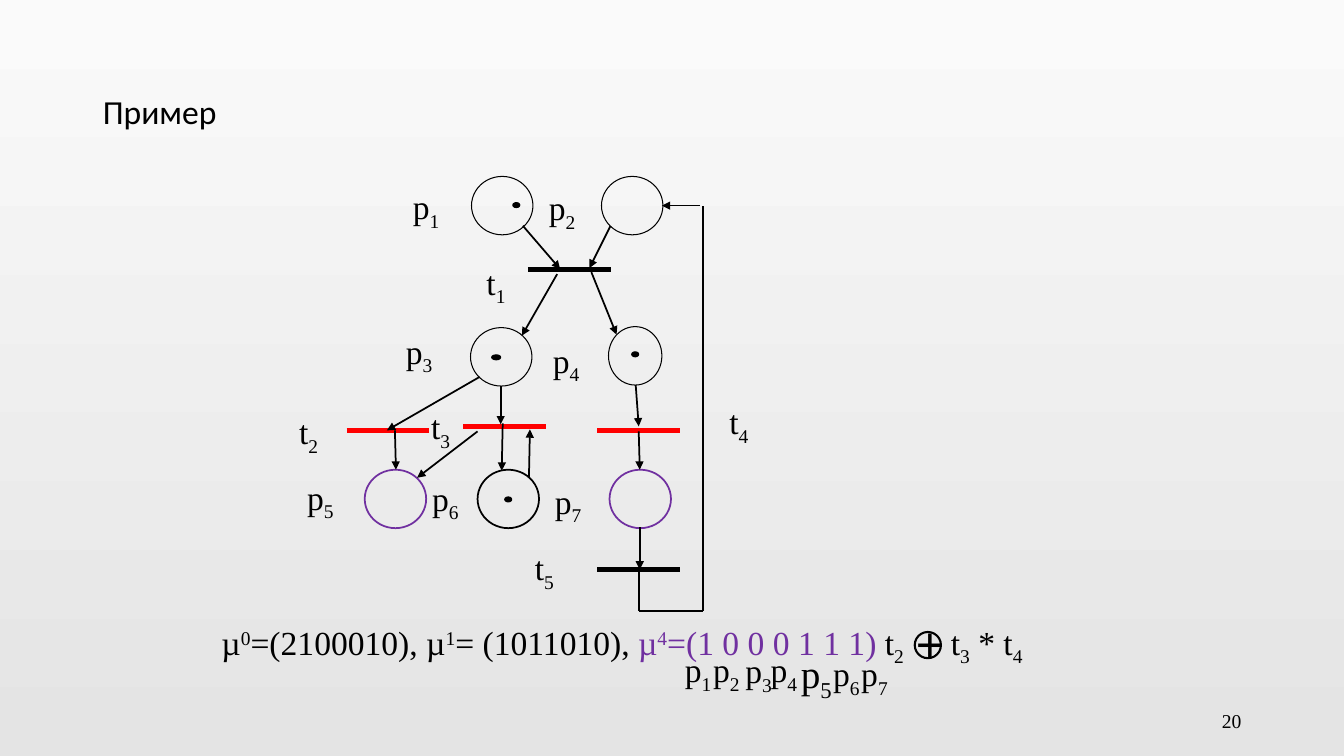
"""Builds the Petri net example slide."""
from lxml.etree import SubElement
from pptx import Presentation
from pptx.dml.color import RGBColor
from pptx.enum.shapes import MSO_CONNECTOR as LINK, MSO_SHAPE as SHAPE
from pptx.enum.text import MSO_ANCHOR as ANCHOR, PP_ALIGN as ALIGN
from pptx.oxml.ns import qn
from pptx.util import Inches, Pt

COLORS = {"ink": "000000", "fired": "FF0000", "marked": "7030A0",
          "sky": "FAFAFA", "ground": "E4E4E4"}
SERIF = "Times New Roman"
SUB, SUPER = -25, 30

PLACES = [
    (4.68, 1.75, 0.61, 0.75, "ink"), (5.97, 1.75, 0.61, 0.75, "ink"),
    (4.67, 3.25, 0.61, 0.75, "ink"), (6.04, 3.24, 0.53, 0.75, "ink"),
    (3.62, 4.66, 0.61, 1.25, "marked"), (4.74, 4.66, 0.61, 1.25, "ink"),
    (6.05, 4.66, 0.61, 1.25, "marked"),
]
TOKENS = [(5.09, 2.01, 0.07), (4.88, 3.52, 0.09),
          (6.27, 3.49, 0.07), (5.01, 4.93, 0.07)]
TRANSITIONS = [(5.24, 2.67, "ink"), (3.44, 4.27, "fired"), (4.6, 4.23, "fired"),
               (5.93, 4.27, "fired"), (5.93, 5.65, "ink")]
ARROWS = [
    (5.19, 2.24, 5.56, 2.67), (6.06, 2.24, 5.85, 2.66),
    (5.53, 2.72, 5.18, 3.33), (5.87, 2.7, 6.12, 3.32),
    (4.76, 3.74, 3.84, 4.27), (4.97, 3.83, 4.97, 4.21),
    (6.31, 3.82, 6.34, 4.23), (3.92, 4.27, 3.93, 4.66),
    (4.74, 4.28, 4.14, 4.74), (4.99, 4.2, 4.98, 4.67),
    (5.25, 4.74, 5.26, 4.26), (6.34, 4.28, 6.35, 4.66),
    (6.35, 5.23, 6.35, 5.65), (6.95, 2.04, 6.57, 2.04),
]
RETURN_PATH = [(6.34, 5.65), (6.34, 6.06), (6.98, 6.06), (6.98, 2.04)]
LABELS = [
    ("p1", 4, 1.8, 24), ("p2", 5.35, 1.81, 24), ("p3", 3.93, 3.23, 24),
    ("p4", 5.39, 3.32, 24), ("p5", 2.95, 4.68, 24), ("p6", 4.19, 4.69, 24),
    ("p7", 5.41, 4.72, 24), ("t1", 4.73, 2.55, 24), ("t2", 2.87, 4.03, 24),
    ("t3", 4.18, 3.98, 24), ("t4", 7.14, 3.93, 24), ("t5", 5.21, 5.38, 24),
    ("p1", 6.7, 6.39, 24), ("p2", 6.98, 6.39, 24), ("p3", 7.3, 6.4, 24),
    ("p4", 7.55, 6.39, 24), ("p5", 7.85, 6.39, 28), ("p6", 8.17, 6.43, 24),
    ("p7", 8.45, 6.43, 24),
]
MARKINGS = [
    ("µ", 0, "ink"), ("0", SUPER, "ink"), ("=(2100010), µ", 0, "ink"),
    ("1", SUPER, "ink"), ("= (1011010), ", 0, "ink"), ("µ", 0, "marked"),
    ("4", SUPER, "marked"), ("=(1 0 0 0 1 1 1) ", 0, "marked"), ("t", 0, "ink"),
    ("2", SUB, "ink"), ("\tt", 0, "ink"), ("3", SUB, "ink"),
    (" * t", 0, "ink"), ("4", SUB, "ink"),
]


def rgb(color):
    return RGBColor.from_string(COLORS[color])


def set_font(font, size, name=SERIF):
    font.name = name
    font.size = Pt(size)
    font.color.rgb = rgb("ink")


def add_ellipse(slide, left, top, width, height, weight, color, filled=False):
    ellipse = slide.shapes.add_shape(
        SHAPE.OVAL, Inches(left), Inches(top), Inches(width), Inches(height))
    ellipse.shadow.inherit = False
    if filled:
        ellipse.fill.solid()
        ellipse.fill.fore_color.rgb = rgb(color)
    else:
        ellipse.fill.background()
    ellipse.line.color.rgb = rgb(color)
    ellipse.line.width = Pt(weight)


def add_line(slide, x1, y1, x2, y2, weight=1.25, color="ink", arrow=False):
    link = slide.shapes.add_connector(
        LINK.STRAIGHT, Inches(x1), Inches(y1), Inches(x2), Inches(y2))
    link.line.color.rgb = rgb(color)
    link.line.width = Pt(weight)
    if arrow:
        SubElement(link.line._get_or_add_ln(), qn("a:tailEnd"), type="triangle")
    SubElement(link._element.spPr, qn("a:effectLst"))


def add_text(slide, left, top, width, height, size, pieces, tab=None):
    box = slide.shapes.add_textbox(
        Inches(left), Inches(top), Inches(width), Inches(height))
    box.text_frame.word_wrap = True
    paragraph = box.text_frame.paragraphs[0]
    if tab:
        stops = SubElement(paragraph._p.get_or_add_pPr(), qn("a:tabLst"))
        SubElement(stops, qn("a:tab"), pos=str(Inches(tab)), algn="l")
    set_font(paragraph.font, size)
    for text, baseline, color in pieces:
        run = paragraph.add_run()
        run.text = text
        if color != "ink":
            run.font.color.rgb = rgb(color)
        if baseline:
            run._r.get_or_add_rPr().set("baseline", str(baseline * 1000))
    return box.text_frame


def add_background(slide):
    fill = slide.background.fill
    fill.gradient()
    fill.gradient_angle = 270
    for stop, color in zip(fill.gradient_stops, ("sky", "ground")):
        stop.color.rgb = rgb(color)


def add_title(slide):
    title = slide.shapes.title
    title.left, title.top = Inches(0.92), Inches(0.4)
    title.width, title.height = Inches(11.5), Inches(1.45)
    title.text_frame.text = "Пример"
    title.text_frame.vertical_anchor = ANCHOR.MIDDLE
    heading = title.text_frame.paragraphs[0]
    heading.alignment = ALIGN.LEFT
    heading.line_spacing = 0.9
    set_font(heading.font, 24, "Calibri")


def add_net(slide):
    for left, top, width, weight, color in PLACES:
        add_ellipse(slide, left, top, width, 0.58, weight, color)
    for left, top, width in TOKENS:
        add_ellipse(slide, left, top, width, 0.05, 0.75, "ink", filled=True)
    for left, y, color in TRANSITIONS:
        add_line(slide, left, y, left + 0.82, y, 3.5, color)
    for ends in ARROWS:
        add_line(slide, *ends, arrow=True)
    for start, end in zip(RETURN_PATH, RETURN_PATH[1:]):
        add_line(slide, *start, *end)


def main():
    prs = Presentation()
    prs.slide_width, prs.slide_height = Inches(13.34), Inches(7.5)
    slide = prs.slides.add_slide(prs.slide_layouts[5])
    add_background(slide)
    add_title(slide)
    add_net(slide)
    add_text(slide, 2.1, 6.12, 9.07, 0.56, 24, MARKINGS, tab=7.24)
    for (letter, index), left, top, size in LABELS:
        add_text(slide, left, top, 0.55, 0.56, size,
                 [(letter, 0, "ink"), (index, SUB, "ink")])
    add_ellipse(slide, 9.08, 6.27, 0.26, 0.26, 1.5, "ink")
    plus = add_text(slide, 8.99, 6.02, 0.5, 0.7, 36, [("+", 0, "ink")])
    plus.paragraphs[0].font.bold = True
    number = add_text(slide, 9.42, 6.95, 3, 0.4, 14, [("20", 0, "ink")])
    number.vertical_anchor = ANCHOR.MIDDLE
    number.paragraphs[0].alignment = ALIGN.RIGHT
    prs.save("out.pptx")


if __name__ == "__main__":
    main()
